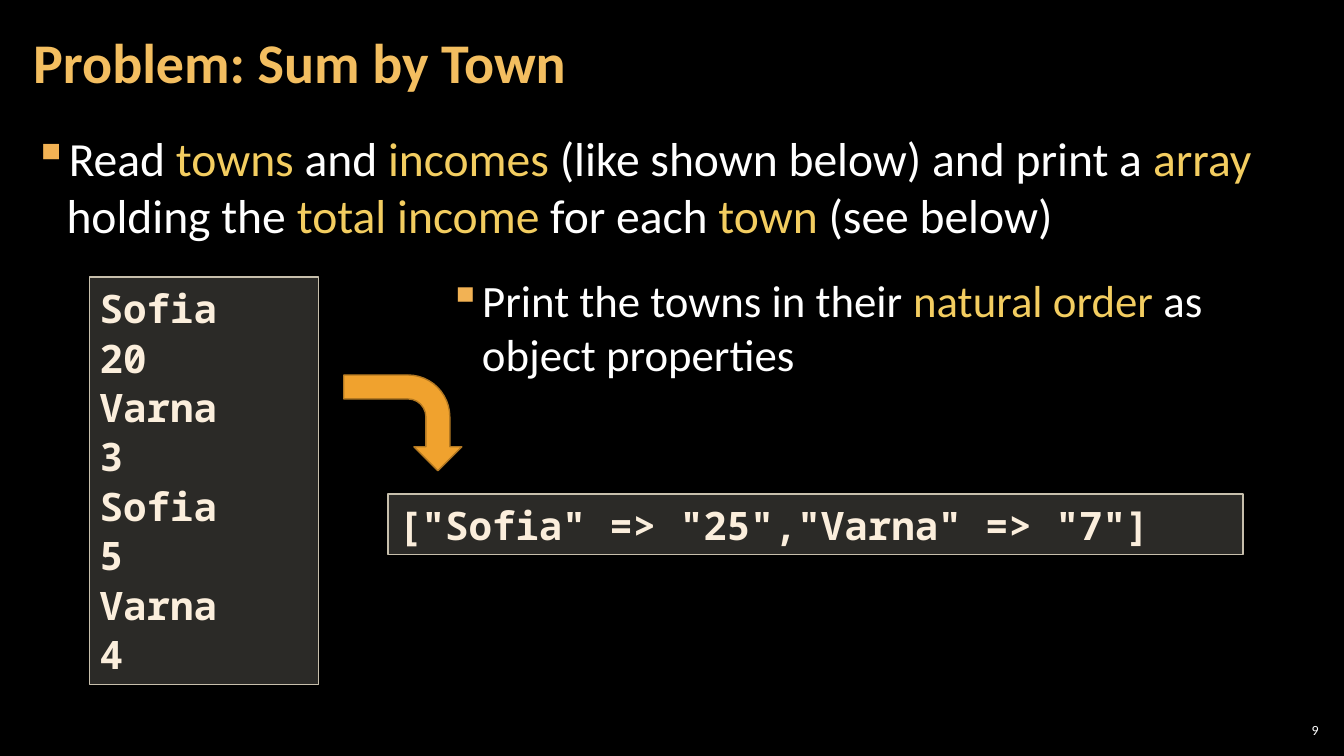
from dataclasses import dataclass

from pptx import Presentation
from pptx.dml.color import RGBColor
from pptx.enum.shapes import MSO_SHAPE as Shape
from pptx.enum.text import MSO_ANCHOR as Anchor, PP_ALIGN as Align
from pptx.oxml.ns import qn
from pptx.util import Inches, Pt
from lxml.etree import SubElement


@dataclass(frozen=True)
class Theme:
    background: str = "000000"
    title: str = "F3BE60"
    text: str = "FFFFFF"
    highlight: str = "F3CD60"
    bullet: str = "F2B254"
    code: str = "FBEEDC"
    code_fill: str = "D9D5C7"
    code_line: str = "C7BFAC"
    arrow_fill: str = "F0A22E"
    arrow_line: str = "B27822"
    code_opacity: int = 20
    text_font: str = "Calibri"
    code_font: str = "Noto Sans Mono"
    title_size: int = 40
    body_size: int = 34
    note_size: int = 32
    code_size: int = 28
    number_size: int = 10


def apply(target, values):
    for name, value in values.items():
        setattr(target, name, value)


class SlideBuilder:
    def __init__(self, slide, theme):
        self.slide = slide
        self.theme = theme
        self.paint(slide.background.fill, theme.background)

    def paint(self, fill, color):
        fill.solid()
        fill.fore_color.rgb = RGBColor.from_string(color)

    def add_span(self, para, text, size, color, font=None, bold=False):
        span = para.add_run()
        span.text = text
        apply(span.font, {"size": Pt(size), "bold": bold,
                          "name": font or self.theme.text_font})
        span.font.color.rgb = RGBColor.from_string(color)

    def text_box(self, bounds, side=0.12, anchor=Anchor.TOP):
        """Add an empty text box and return its first paragraph."""
        box = self.slide.shapes.add_textbox(*map(Inches, bounds))
        apply(box.text_frame, {
            "word_wrap": True, "vertical_anchor": anchor,
            "margin_left": Inches(side), "margin_right": Inches(side),
            "margin_top": Inches(0.04), "margin_bottom": Inches(0.04)})
        return box.text_frame.paragraphs[0]

    def title(self, bounds, text):
        para = self.text_box(bounds, anchor=Anchor.MIDDLE)
        para.line_spacing = 0.9
        self.add_span(para, text, self.theme.title_size, self.theme.title, bold=True)

    def page_number(self, bounds, text):
        para = self.text_box(bounds, side=0.04, anchor=Anchor.MIDDLE)
        para.alignment = Align.RIGHT
        self.add_span(para, text, self.theme.number_size, self.theme.text)

    def bullet(self, bounds, size, parts):
        """Add one bullet; every second part is highlighted."""
        para = self.text_box(bounds)
        properties = para._p.get_or_add_pPr()
        properties.set("marL", str(Inches(0.33)))
        properties.set("indent", str(Inches(-0.33)))
        color = SubElement(properties, qn("a:buClr"))
        SubElement(color, qn("a:srgbClr"), val=self.theme.bullet)
        SubElement(properties, qn("a:buChar"), char="▪")
        para.space_after = Pt(6)
        colors = (self.theme.text, self.theme.highlight)
        for index, part in enumerate(parts):
            self.add_span(para, part, size, colors[index % 2])

    def shape(self, kind, bounds, fill, line):
        box = self.slide.shapes.add_shape(kind, *map(Inches, bounds))
        box.shadow.inherit = False
        self.paint(box.fill, fill)
        self.paint(box.line.fill, line)
        box.line.width = Pt(1)
        return box

    def code(self, bounds, lines):
        theme = self.theme
        box = self.shape(Shape.RECTANGLE, bounds, theme.code_fill, theme.code_line)
        color = box.element.spPr.find(qn("a:solidFill")).find(qn("a:srgbClr"))
        SubElement(color, qn("a:alpha"), val=str(theme.code_opacity * 1000))
        frame = box.text_frame
        apply(frame, {"word_wrap": True, "vertical_anchor": Anchor.TOP})
        for index, line in enumerate(lines):
            para = frame.add_paragraph() if index else frame.paragraphs[0]
            apply(para, {"alignment": Align.LEFT, "line_spacing": 1.05})
            self.add_span(para, line, theme.code_size, theme.code, theme.code_font, True)

    def bent_arrow(self, bounds, rotation):
        arrow = self.shape(Shape.BENT_ARROW, bounds,
                           self.theme.arrow_fill, self.theme.arrow_line)
        arrow.rotation = rotation


def main():
    deck = Presentation()
    apply(deck, {"slide_width": Inches(13.33), "slide_height": Inches(7.5)})
    theme = Theme()
    page = SlideBuilder(deck.slides.add_slide(deck.slide_layouts[6]), theme)

    page.title((0.21, 0.04, 10.47, 1.21), "Problem: Sum by Town")
    page.bullet((0.21, 1.24, 12.91, 6.09), theme.body_size, (
        "Read ", "towns", " and ", "incomes",
        " (like shown below) and print a ", "array ", "holding the ",
        "total income", " for each ", "town", " (see below)"))
    page.code((3.85, 4.9, 8.48, 0.6), ['["Sofia" => "25","Varna" => "7"]'])
    page.code((0.89, 2.75, 2.27, 4.04),
              ["Sofia", "20", "Varna", "3", "Sofia", "5", "Varna", "4"])
    page.bent_arrow((3.52, 3.61, 0.95, 1.17), 90)
    page.bullet((4.33, 2.67, 7.75, 1.33), theme.note_size, (
        "Print the towns in their ", "natural order ", "as object properties"))
    page.page_number((12.65, 7.14, 0.47, 0.21), "9")
    deck.save("out.pptx")


if __name__ == "__main__":
    main()
